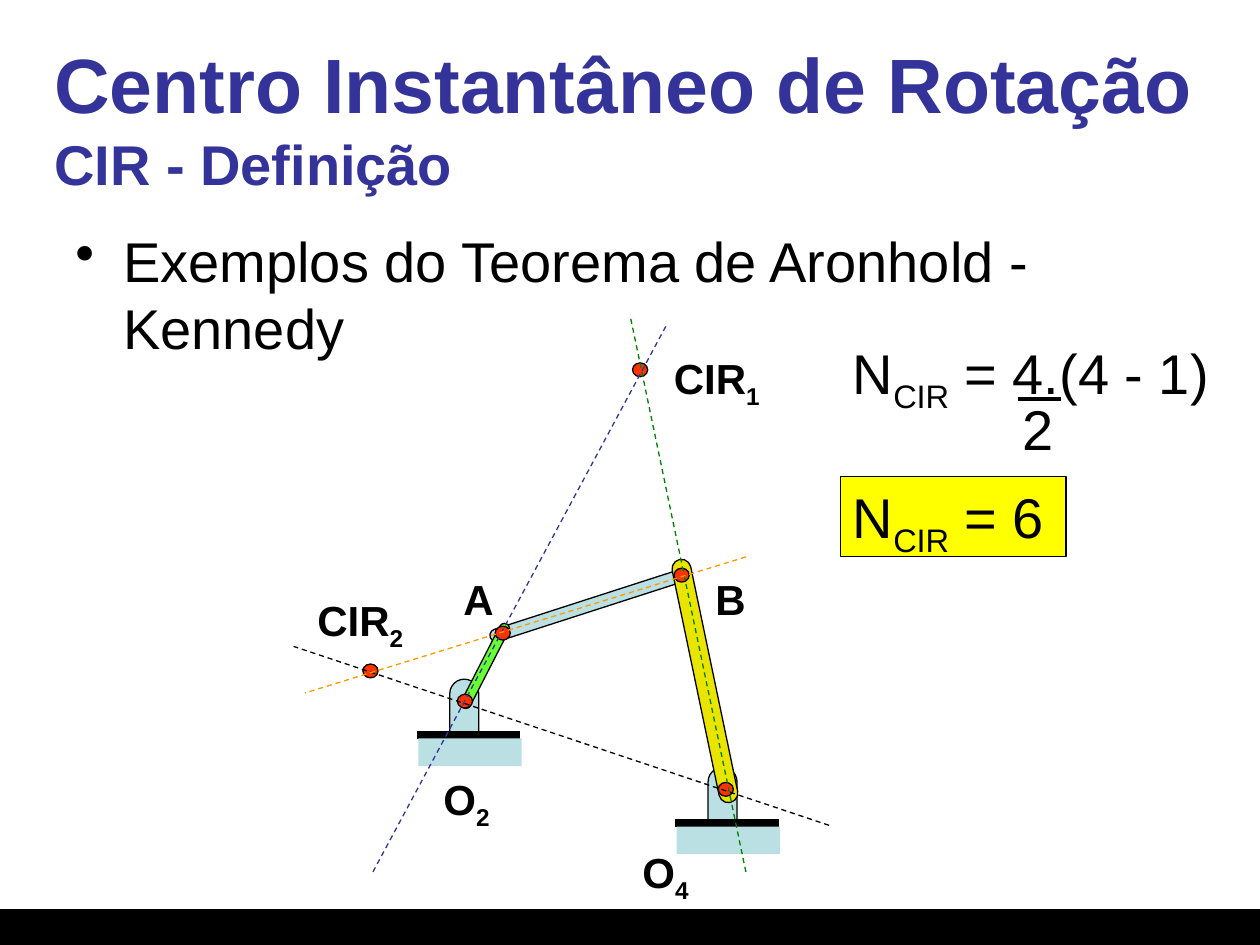
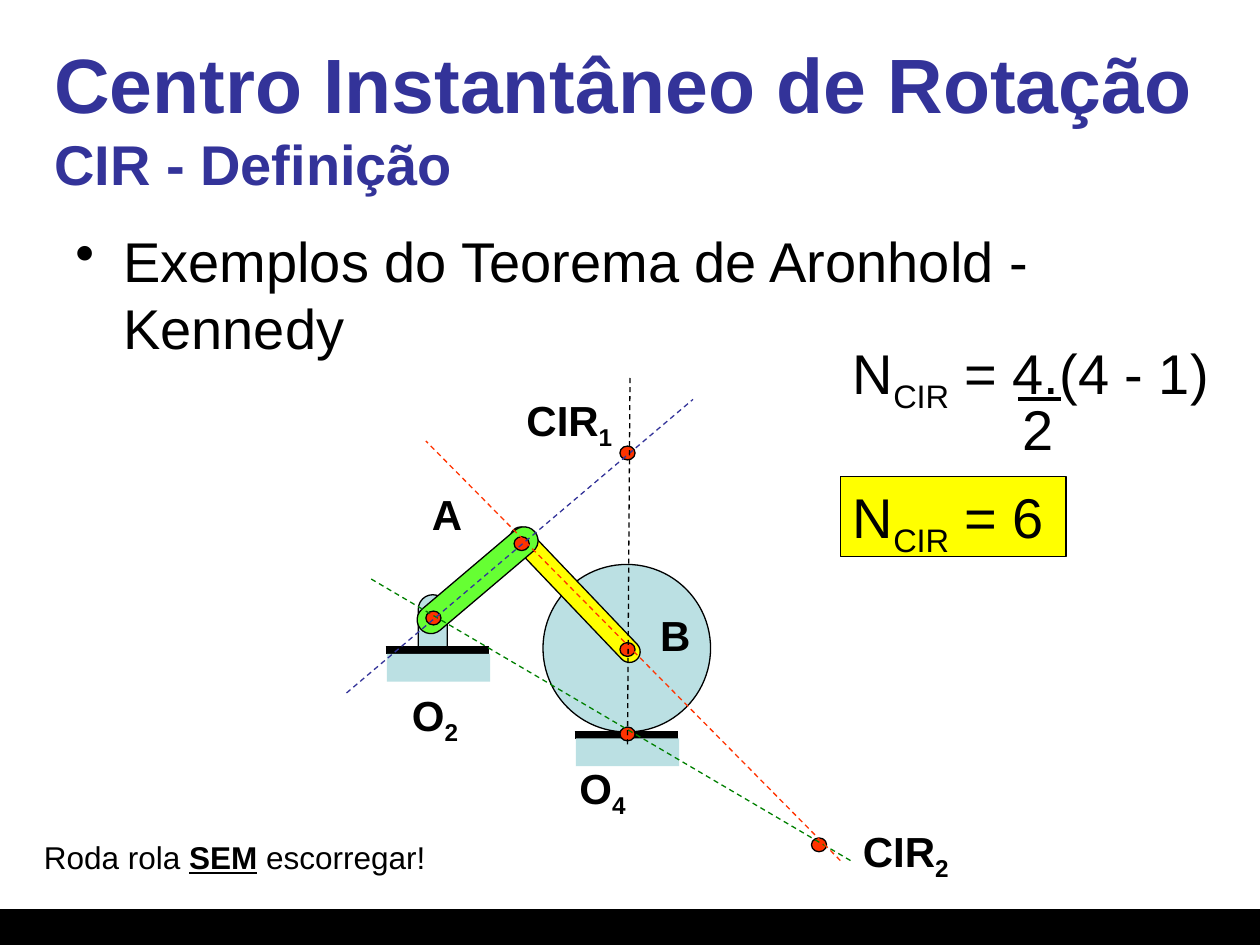
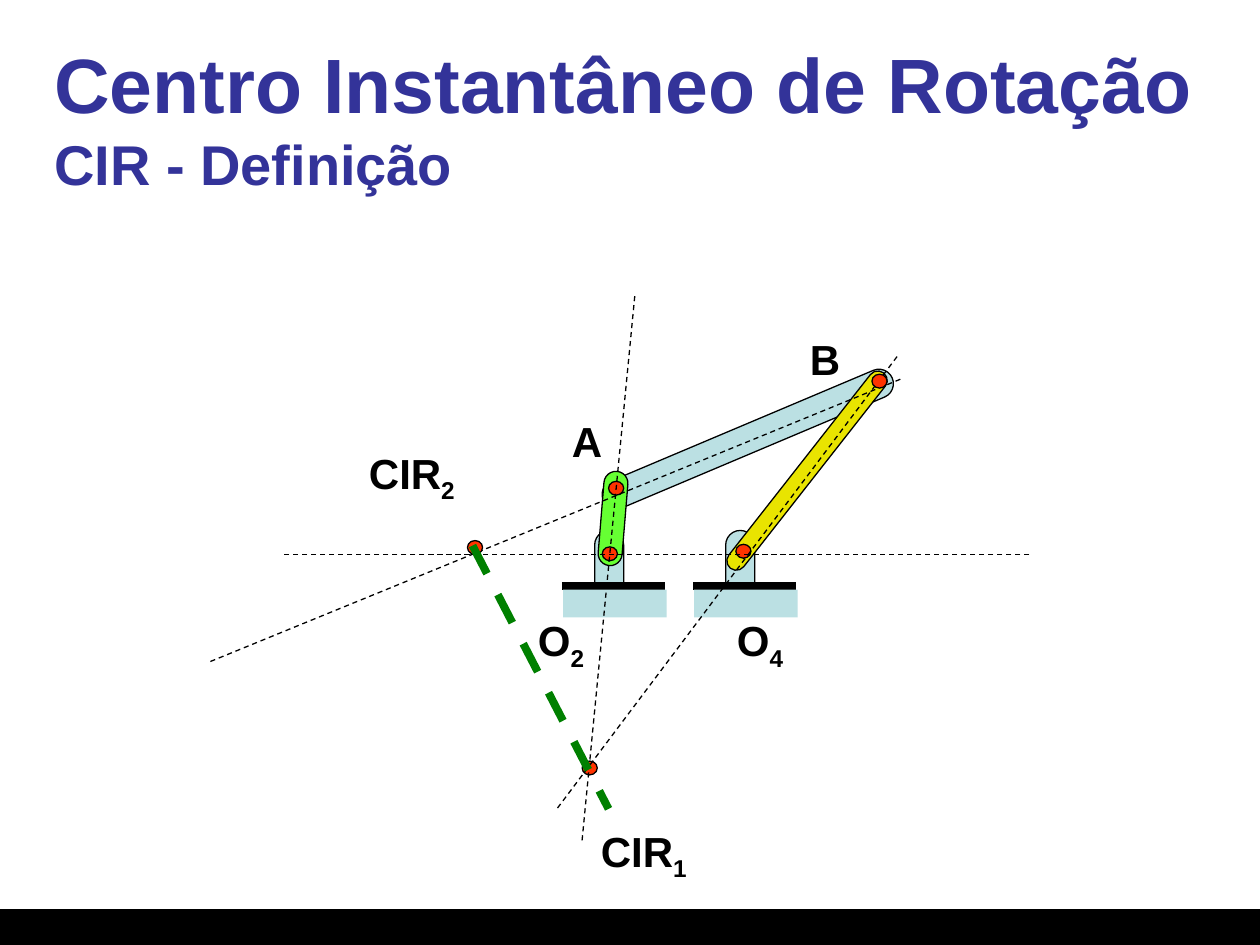
import dataclasses
import typing

import lxml.etree
import pptx
import pptx.dml.color
import pptx.enum.dml
import pptx.enum.shapes
import pptx.enum.text
import pptx.oxml.ns
import pptx.util

FONT = "Arial"
BLACK, NAVY, GREEN, RED = "000000", "333399", "008000", "FF3300"
STEEL, LIME, GOLD, YELLOW, ORANGE = "BBE0E3", "66FF33", "E9E400", "FFFF00", "FF9900"
WIDTHS = {"A": 0.44, "B": 0.44, "O": 0.58, "C": 0.9}
FORMS = pptx.enum.shapes.MSO_SHAPE
ANCHOR = pptx.enum.text.MSO_ANCHOR
FIT = pptx.enum.text.MSO_AUTO_SIZE


@dataclasses.dataclass
class Mount:
    """Ground under a joint, placed by the left end of its line."""
    x: float
    y: float
    post: bool = True


@dataclasses.dataclass
class Link:
    """Rounded bar turned about its centre."""
    x: float
    y: float
    w: float
    h: float
    turn: float
    fill: str


@dataclasses.dataclass
class Dot:
    """Joint or instant centre."""
    x: float
    y: float


@dataclasses.dataclass
class Label:
    """Bold name of a point, with its index after an underscore."""
    x: float
    y: float
    text: str


@dataclasses.dataclass
class Ray:
    """Dashed line between two points."""
    x: float
    y: float
    endx: float
    endy: float
    color: str = BLACK
    width: float = 0.75


def inch(size: float) -> int:
    """Turn inches into a length."""
    return pptx.util.Cm(2.54 * size)


def tint(color: str) -> pptx.dml.color.RGBColor:
    """Turn a hex string into a colour."""
    return pptx.dml.color.RGBColor.from_string(color)


def write(frame, text: str, *, size: float = 32, color: str = BLACK,
          bold: bool = False, mark: str = "sub", wrap: bool = False,
          fit=FIT.SHAPE_TO_FIT_TEXT, anchor=ANCHOR.TOP):
    """Write text in a frame, marking every second part between underscores."""
    frame.word_wrap = wrap
    frame.auto_size = fit
    frame.vertical_anchor = anchor
    para = frame.paragraphs[0]
    para.alignment = pptx.enum.text.PP_ALIGN.LEFT
    for num, part in enumerate(text.split("_")):
        run = add_run(para, part, size, color, bold)
        if num % 2 and mark == "sub":
            run._r.get_or_add_rPr().set("baseline", "-25000")
        elif num % 2:
            run.font.bold = run.font.underline = True
    return para


def add_run(para, text: str, size: float, color: str, bold: bool):
    """Add one formatted run to a paragraph."""
    run = para.add_run()
    run.text = text
    run.font.name = FONT
    run.font.size = pptx.util.Pt(size)
    run.font.bold = bold
    run.font.color.rgb = tint(color)
    return run


def add_text(slide, x: float, y: float, w: float, h: float, text: str, **form):
    """Add a text box and return its paragraph."""
    box = slide.shapes.add_textbox(*map(inch, (x, y, w, h)))
    return write(box.text_frame, text, **form)


def add_form(slide, kind, x: float, y: float, w: float, h: float, fill: str,
             edge: bool = True):
    """Add a filled shape with an optional thin black edge."""
    shape = slide.shapes.add_shape(kind, *map(inch, (x, y, w, h)))
    shape.shadow.inherit = False
    shape.fill.solid()
    shape.fill.fore_color.rgb = tint(fill)
    if edge:
        shape.line.color.rgb = tint(BLACK)
        shape.line.width = pptx.util.Pt(0.75)
    else:
        shape.line.fill.background()
    return shape


def add_line(slide, x: float, y: float, endx: float, endy: float,
             color: str, width: float):
    """Add a straight line without a shadow."""
    line = slide.shapes.add_connector(
        pptx.enum.shapes.MSO_CONNECTOR.STRAIGHT, *map(inch, (x, y, endx, endy)))
    line.line.color.rgb = tint(color)
    line.line.width = pptx.util.Pt(width)
    lxml.etree.SubElement(line._element.spPr, pptx.oxml.ns.qn("a:effectLst"))
    return line


def draw_mount(slide, mount: Mount) -> None:
    """Draw the post, the ground line and the ground."""
    if mount.post:
        draw_link(slide, Link(mount.x + 0.26, mount.y - 0.44, 0.23, 0.65, 0, STEEL))
    add_line(slide, mount.x, mount.y, mount.x + 0.82, mount.y, BLACK, 4.5)
    add_form(slide, FORMS.RECTANGLE, mount.x + 0.01, mount.y + 0.03, 0.82, 0.22,
             STEEL, edge=False)


def draw_link(slide, link: Link) -> None:
    """Draw a bar with round ends."""
    bar = add_form(slide, FORMS.ROUNDED_RECTANGLE, link.x, link.y, link.w, link.h,
                   link.fill)
    bar.adjustments[0] = 0.5
    bar.rotation = link.turn


def draw_dot(slide, dot: Dot) -> None:
    """Draw a red point."""
    add_form(slide, FORMS.OVAL, dot.x, dot.y, 0.12, 0.11, RED)


def draw_label(slide, label: Label) -> None:
    """Draw the name of a point."""
    add_text(slide, label.x, label.y, WIDTHS[label.text[0]], 0.5, label.text,
             size=24, bold=True)


def draw_ray(slide, ray: Ray) -> None:
    """Draw a dashed line."""
    line = add_line(slide, ray.x, ray.y, ray.endx, ray.endy, ray.color, ray.width)
    line.line.dash_style = pptx.enum.dml.MSO_LINE.DASH


DRAW: dict[type, typing.Callable] = {
    Mount: draw_mount, Link: draw_link, Dot: draw_dot,
    Label: draw_label, Ray: draw_ray,
}


def draw_all(slide, parts: list) -> None:
    """Draw the parts from back to front."""
    for part in parts:
        DRAW[type(part)](slide, part)


def add_slide(deck):
    """Add a slide with the shared band and title."""
    slide = deck.slides.add_slide(deck.slide_layouts[5])
    add_form(slide, FORMS.RECTANGLE, 0, 7.22, 10, 0.28, BLACK)
    title = slide.shapes.title
    title.left, title.top, title.width, title.height = map(
        inch, (0.33, 0.3, 9.33, 1.25))
    para = write(title.text_frame, "Centro Instantâneo de Rotação", size=44,
                 color=NAVY, bold=True, wrap=True, fit=FIT.NONE,
                 anchor=ANCHOR.MIDDLE)
    para.add_line_break()
    add_run(para, "CIR - Definição", 32, NAVY, True)
    return slide


def add_bullet(slide) -> None:
    """Add the bulleted topic."""
    para = add_text(slide, 0.5, 1.75, 8.83, 1.17,
                    "Exemplos do Teorema de Aronhold - Kennedy",
                    wrap=True, fit=FIT.NONE)
    props = para._p.get_or_add_pPr()
    props.set("marL", str(inch(0.38)))
    props.set("indent", str(-inch(0.38)))
    lxml.etree.SubElement(props, pptx.oxml.ns.qn("a:buChar")).set("char", "•")


def add_count(slide) -> None:
    """Add the formula for the number of centres and its result."""
    add_text(slide, 6.67, 2.64, 3.08, 0.63, "N_CIR_ = 4.(4 - 1)")
    add_line(slide, 8.08, 3.17, 8.42, 3.17, BLACK, 2.25)
    add_text(slide, 8.02, 3.08, 0.45, 0.63, "2")
    box = add_form(slide, FORMS.RECTANGLE, 6.67, 3.78, 1.79, 0.64, YELLOW)
    write(box.text_frame, "N_CIR_ = 6")


FOUR_BAR = [
    Mount(3.31, 5.83),
    Link(4.64, 3.96, 0.1, 1.68, 72.1, STEEL),
    Link(3.81, 4.91, 0.08, 0.75, 207.2, LIME),
    Mount(5.36, 6.53),
    Link(5.52, 4.42, 0.15, 1.97, 348.2, GOLD),
    Dot(5.35, 4.51), Dot(3.93, 4.97), Dot(3.63, 5.51), Dot(5.7, 6.21),
    Label(3.42, 6.09, "O_2"), Label(5, 6.67, "O_4"),
    Label(5.58, 4.5, "B"), Label(3.58, 4.5, "A"),
    Dot(5.02, 2.88),
    Ray(2.96, 6.92, 5.29, 2.58, NAVY),
    Ray(5.92, 6.92, 5, 2.5, GREEN),
    Label(5.25, 2.75, "CIR_1"),
    Dot(2.88, 5.27),
    Ray(6.58, 6.55, 2.33, 5.13),
    Ray(5.92, 4.42, 2.42, 5.5, ORANGE),
    Label(2.42, 4.67, "CIR_2"),
]

ROLLER = [
    Mount(3.06, 5.16),
    Link(4.48, 4.01, 0.17, 1.42, 136.4, YELLOW),
    Link(3.68, 4.01, 0.22, 1.19, 229.7, LIME),
    Mount(4.56, 5.83, post=False),
    Dot(4.08, 4.26), Dot(3.38, 4.85), Dot(4.92, 5.1),
    Label(3.17, 5.42, "O_2"), Label(4.5, 6, "O_4"),
    Label(5.14, 4.79, "B"), Label(3.33, 3.83, "A"),
    Dot(4.92, 5.77), Dot(6.44, 6.65),
    Ray(6.75, 6.83, 2.92, 4.58, GREEN),
    Ray(6.67, 6.83, 3.38, 3.5, RED),
    Label(6.75, 6.5, "CIR_2"),
    Dot(4.92, 3.54),
    Ray(2.75, 5.5, 5.5, 3.17, NAVY),
    Ray(5, 3, 4.98, 5.92),
    Label(4.08, 3.08, "CIR_1"),
]

CROSSED = [
    Mount(4.46, 4.65),
    Link(5.82, 2.24, 0.23, 2.49, 67.1, STEEL),
    Link(4.77, 3.74, 0.19, 0.75, 184.7, LIME),
    Mount(5.5, 4.65),
    Link(6.33, 2.75, 0.15, 1.97, 38.1, GOLD),
    Dot(4.62, 6.04), Dot(4.83, 3.82), Dot(4.78, 4.34), Dot(5.84, 4.32),
    Label(4.17, 4.83, "O_2"), Label(5.75, 4.83, "O_4"),
    Label(6.33, 2.6, "B"), Label(4.44, 3.25, "A"),
    Ray(7.12, 2.83, 4.42, 6.42),
    Ray(8.17, 4.4, 2.25, 4.4),
    Ray(4.62, 6.67, 5.04, 2.33),
    Ray(1.67, 5.25, 7.17, 3),
    Dot(6.92, 2.97), Dot(3.71, 4.29),
    Ray(3.75, 4.33, 4.83, 6.42, GREEN, 4.5),
    Label(4.67, 6.5, "CIR_1"), Label(2.83, 3.5, "CIR_2"),
]


def main() -> None:
    """Build and save the deck."""
    deck = pptx.Presentation()
    deck.slide_width, deck.slide_height = inch(10), inch(7.5)

    slide = add_slide(deck)
    add_bullet(slide)
    draw_all(slide, FOUR_BAR)
    add_count(slide)

    slide = add_slide(deck)
    add_bullet(slide)
    add_form(slide, FORMS.OVAL, 4.31, 4.48, 1.33, 1.33, STEEL)
    draw_all(slide, ROLLER)
    add_count(slide)
    add_text(slide, 0.25, 6.6, 3.23, 0.4, "Roda rola _SEM_ escorregar!",
             size=18, mark="strong")

    draw_all(add_slide(deck), CROSSED)
    deck.save("out.pptx")


main()
